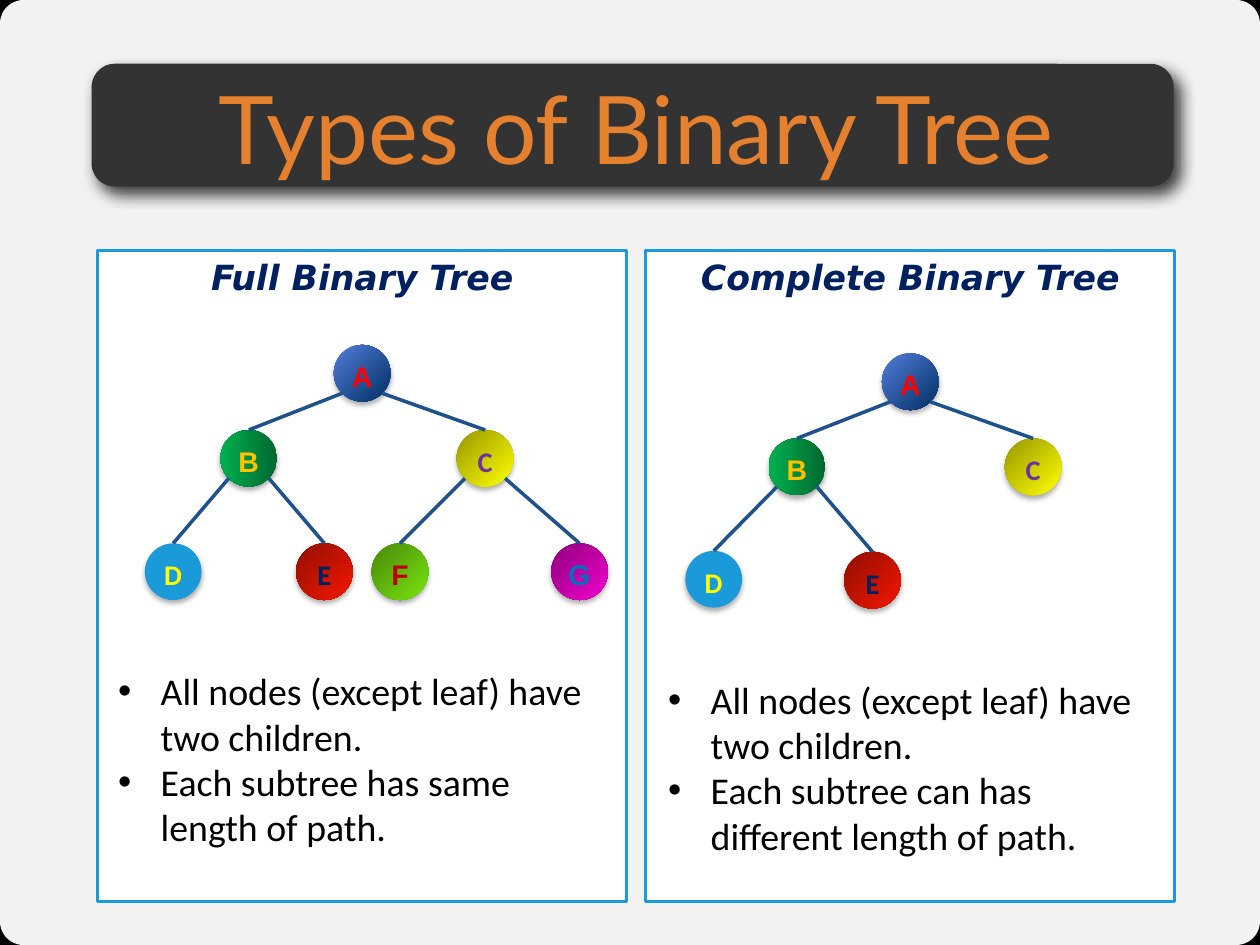
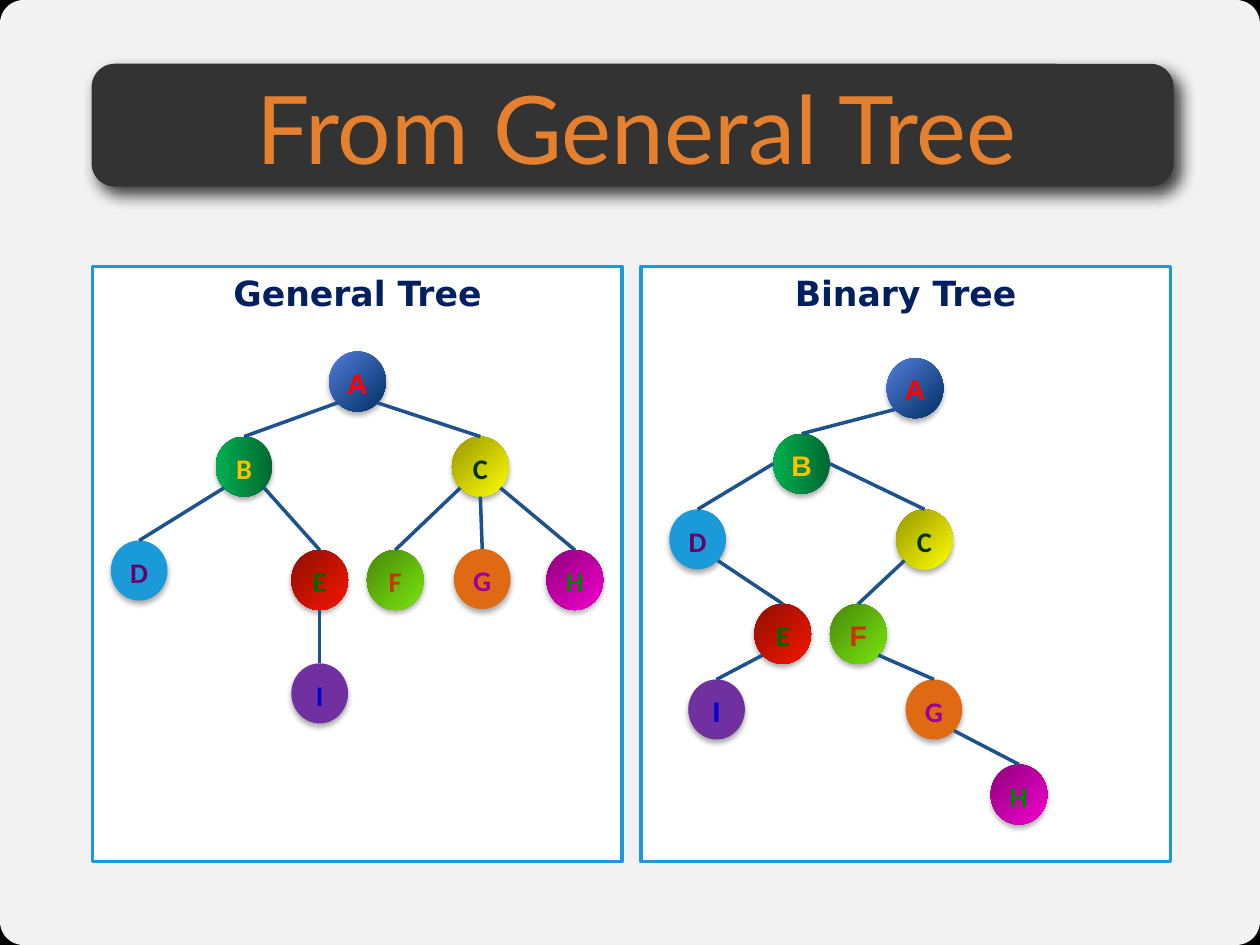
import math

import lxml.etree
import pptx
import pptx.dml.color
import pptx.enum.shapes
import pptx.enum.text
import pptx.oxml.ns
import pptx.util

Pt = pptx.util.Pt
SHAPES = pptx.enum.shapes.MSO_SHAPE
ALIGN = pptx.enum.text.PP_ALIGN
ANCHOR = pptx.enum.text.MSO_ANCHOR
qn = pptx.oxml.ns.qn
rgb = pptx.dml.color.RGBColor.from_string

COLORS = {
    "backdrop": "000000", "card": "FFFFFF", "band": "333333", "title": "E5812E",
    "frame": "1B9AD9", "heading": "002060", "body": "000000", "edge": "1D528D",
}
# Node fills: one colour, or gradient start, end and counter-clockwise angle
FILLS = {
    "blue": ("547DD8", "003065", 315), "green": ("00682F", "00B050", 180),
    "yellow": ("979700", "FFFF00", 315), "sky": "1B9AD9",
    "red": ("910E00", "F41700", 315), "lime": ("488809", "7AE50F", 315),
    "magenta": ("8F007B", "F200CF", 315), "orange": "DF6A13", "violet": "7030A0",
}
# Shadows: blur, distance (points), angle (degrees), opacity (percent)
BAND_SHADOW = (10, 6, 51, 75)
NODE_SHADOW = (3.5, 2.2, 90, 32)

# Each letter's node fill and letter colour
FIRST_STYLES = {
    "A": ("blue", "FF0000"), "B": ("green", "FFC000"), "C": ("yellow", "7030A0"),
    "D": ("sky", "FFFF00"), "E": ("red", "002060"), "F": ("lime", "C00000"),
    "G": ("magenta", "0070C0"),
}
SECOND_STYLES = FIRST_STYLES | {
    "C": ("yellow", "003300"), "D": ("sky", "660066"), "E": ("red", "006600"),
    "F": ("lime", "CC3300"), "G": ("orange", "990099"), "H": ("magenta", "008000"),
    "I": ("violet", "0000CC"),
}

# Node places are columns and rows counted from the corner of the panel
SLIDES = [
    {"title": "Types of Binary Tree", "panel": (10.33, 26.5, 56, 68.9),
     "node_height": 6, "italic": True, "styles": FIRST_STYLES, "trees": [
        {"heading": "Full Binary Tree", "edges": "AB AC BD BE CF CG",
         "nodes": {"A": (25, 10), "B": (13, 19), "C": (38, 19), "D": (5, 31),
                   "E": (21, 31), "F": (29, 31), "G": (48, 31)},
         "arial": "ABFG", "notes_at": (1, 43.6),
         "notes": ["All nodes (except leaf) have two children.",
                   "Each subtree has same length of path."]},
        {"heading": "Complete Binary Tree", "edges": "AB AC BD BE",
         "nodes": {"A": (25, 10.9), "B": (13, 19.9), "C": (38, 19.9),
                   "D": (4.2, 31.8), "E": (21, 31.9)},
         "arial": "AB", "notes_at": (1.2, 44.5),
         "notes": ["All nodes (except leaf) have two children.",
                   "Each subtree can has different length of path."]}]},
    {"title": "From General Tree", "panel": (9.83, 28.2, 56, 63),
     "node_height": 6.36, "italic": False, "styles": SECOND_STYLES, "trees": [
        {"heading": "General Tree", "edges": "AB AC BD BE CF CG CH EI",
         "nodes": {"A": (25, 9), "B": (13, 18), "C": (38, 18), "D": (1.9, 29),
                   "E": (21, 30), "F": (29, 30), "G": (38.2, 29.9), "H": (48, 30),
                   "I": (21, 42)},
         "arial": "A"},
        {"heading": "Binary Tree", "edges": "AB BD BC DE EI CF FG GH",
         "nodes": {"A": (26, 9.7), "B": (14, 17.7), "C": (27, 25.7), "D": (3, 25.7),
                   "E": (12, 35.7), "F": (20, 35.7), "G": (28, 43.7),
                   "H": (37, 52.7), "I": (5, 43.7)},
         "arial": "ABFI", "side_exits": "B"}]},
]
PANEL_STEP = 58
NODE_WIDTH = 6

prs = pptx.Presentation()
prs.slide_width, prs.slide_height = Pt(800), Pt(600)
CELL = prs.slide_height / 100


def add_box(slide, kind, at, fill, shadow=None):
    """Add an unlined preset shape, placed in grid cells, with an optional shadow."""
    box = slide.shapes.add_shape(kind, *(round(v * CELL) for v in at))
    box.line.fill.background()
    if isinstance(fill, tuple):
        box.fill.gradient()
        box.fill.gradient_angle = fill[2]
        for stop, color in zip(box.fill.gradient_stops, fill):
            stop.color.rgb = rgb(color)
    else:
        box.fill.solid()
        box.fill.fore_color.rgb = rgb(fill)
    box.shadow.inherit = False
    if shadow:
        blur, distance, angle, opacity = shadow
        effects = box.element.spPr.find(qn("a:effectLst"))
        outer = lxml.etree.SubElement(
            effects, qn("a:outerShdw"), blurRad=str(Pt(blur)), dist=str(Pt(distance)),
            dir=str(angle * 60000), algn="ctr", rotWithShape="0")
        tint = lxml.etree.SubElement(outer, qn("a:srgbClr"), val="000000")
        lxml.etree.SubElement(tint, qn("a:alpha"), val=str(opacity * 1000))
    return box


def write(frame, text, size, font, color, bold=False, italic=False,
          align=ALIGN.CENTER, anchor=ANCHOR.TOP, wrap=True):
    """Fill a text frame and give every run one style."""
    frame.text = text
    frame.word_wrap = wrap
    frame.vertical_anchor = anchor
    for paragraph in frame.paragraphs:
        paragraph.alignment = align
        for run in paragraph.runs:
            run.font.size, run.font.name = Pt(size), font
            run.font.bold, run.font.italic = bold, italic
            run.font.color.rgb = rgb(color)


for page in SLIDES:
    slide = prs.slides.add_slide(prs.slide_layouts[6])
    slide.background.fill.solid()
    slide.background.fill.fore_color.rgb = rgb(COLORS["backdrop"])

    card = add_box(slide, SHAPES.ROUNDED_RECTANGLE, (0, 0, 400 / 3, 100), COLORS["card"])
    card.adjustments[0] = 0.025
    card_color = card.element.spPr.xpath(".//a:srgbClr")[0]
    lxml.etree.SubElement(card_color, qn("a:alpha"), val="95000")

    band = add_box(slide, SHAPES.ROUNDED_RECTANGLE, (9.7, 6.75, 114.5, 13),
                   COLORS["band"], BAND_SHADOW)
    band.adjustments[0] = 0.19
    title = slide.shapes.add_textbox(
        *(round(v * CELL) for v in (10.33, 7.4, 114, 12))).text_frame
    title.margin_left = title.margin_right = title.margin_top = title.margin_bottom = 0
    write(title, page["title"], 60, "Lato", COLORS["title"], anchor=ANCHOR.MIDDLE)

    node_size = (NODE_WIDTH, page["node_height"])
    for index, tree in enumerate(page["trees"]):
        left, top, width, height = page["panel"]
        left += index * PANEL_STEP
        panel = add_box(slide, SHAPES.RECTANGLE, (left, top, width, height), COLORS["card"])
        panel.line.color.rgb = rgb(COLORS["frame"])
        panel.line.width = Pt(2)
        write(panel.text_frame, tree["heading"], 22, "DejaVu Sans", COLORS["heading"],
              bold=True, italic=page["italic"])

        centres = {}
        for letter, (column, row) in tree["nodes"].items():
            fill, color = page["styles"][letter]
            x, y = left + column, top + row
            centres[letter] = (x + node_size[0] / 2, y + node_size[1] / 2)
            node = add_box(slide, SHAPES.OVAL, (x, y, *node_size), FILLS[fill], NODE_SHADOW)
            font = "Arial" if letter in tree["arial"] else "Calibri"
            write(node.text_frame, letter, 18, font, color, bold=True, wrap=False)

        # Edges leave the parent's rim towards the child and end on the child's top
        for parent, child in tree["edges"].split():
            (x1, y1), (x2, y2) = centres[parent], centres[child]
            side = math.copysign(1, x2 - x1)
            if abs(x2 - x1) < 1:
                reach = (0, 0.5)
            elif parent in tree.get("side_exits", ""):
                reach = (side * 0.5, 0)
            else:
                reach = (side * math.sqrt(0.5) / 2, math.sqrt(0.5) / 2)
            ends = (x1 + reach[0] * node_size[0], y1 + reach[1] * node_size[1],
                    x2, y2 - node_size[1] / 2)
            edge = slide.shapes.add_connector(
                pptx.enum.shapes.MSO_CONNECTOR.STRAIGHT, *(round(v * CELL) for v in ends))
            edge.line.color.rgb = rgb(COLORS["edge"])
            edge.line.width = Pt(2.25)
            lxml.etree.SubElement(edge.element.spPr, qn("a:effectLst"))

        if "notes" in tree:
            column, row = tree["notes_at"]
            notes = slide.shapes.add_textbox(
                *(round(v * CELL) for v in (left + column, top + row, 54, 20.6))).text_frame
            write(notes, "\n".join(tree["notes"]), 24, "Calibri", COLORS["body"],
                  align=ALIGN.LEFT)
            for paragraph in notes.paragraphs:
                properties = paragraph._p.get_or_add_pPr()
                properties.set("marL", str(Pt(27)))
                properties.set("indent", str(-Pt(27)))
                lxml.etree.SubElement(properties, qn("a:buFont"), typeface="Arial")
                lxml.etree.SubElement(properties, qn("a:buChar"), char="•")

prs.save("out.pptx")
